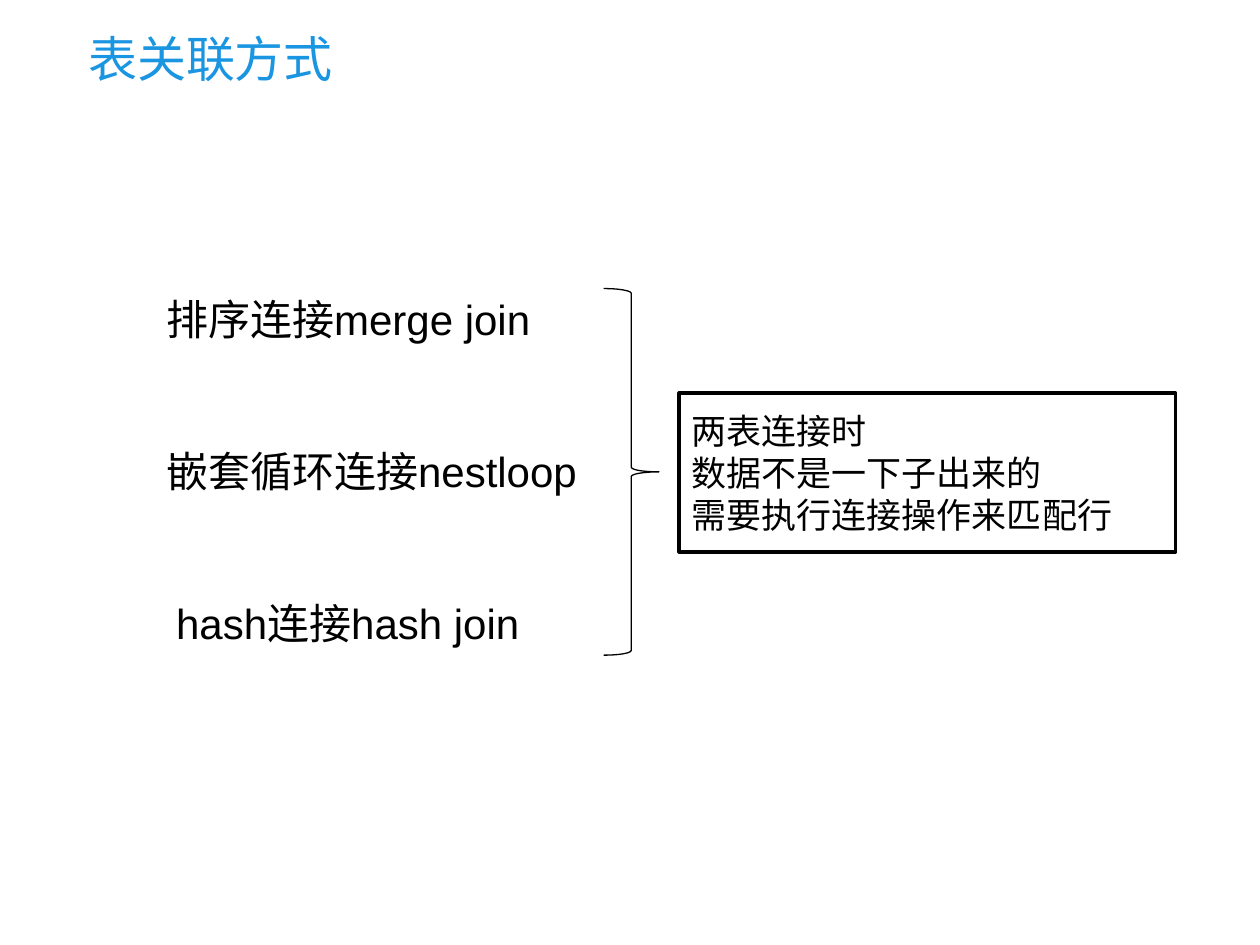
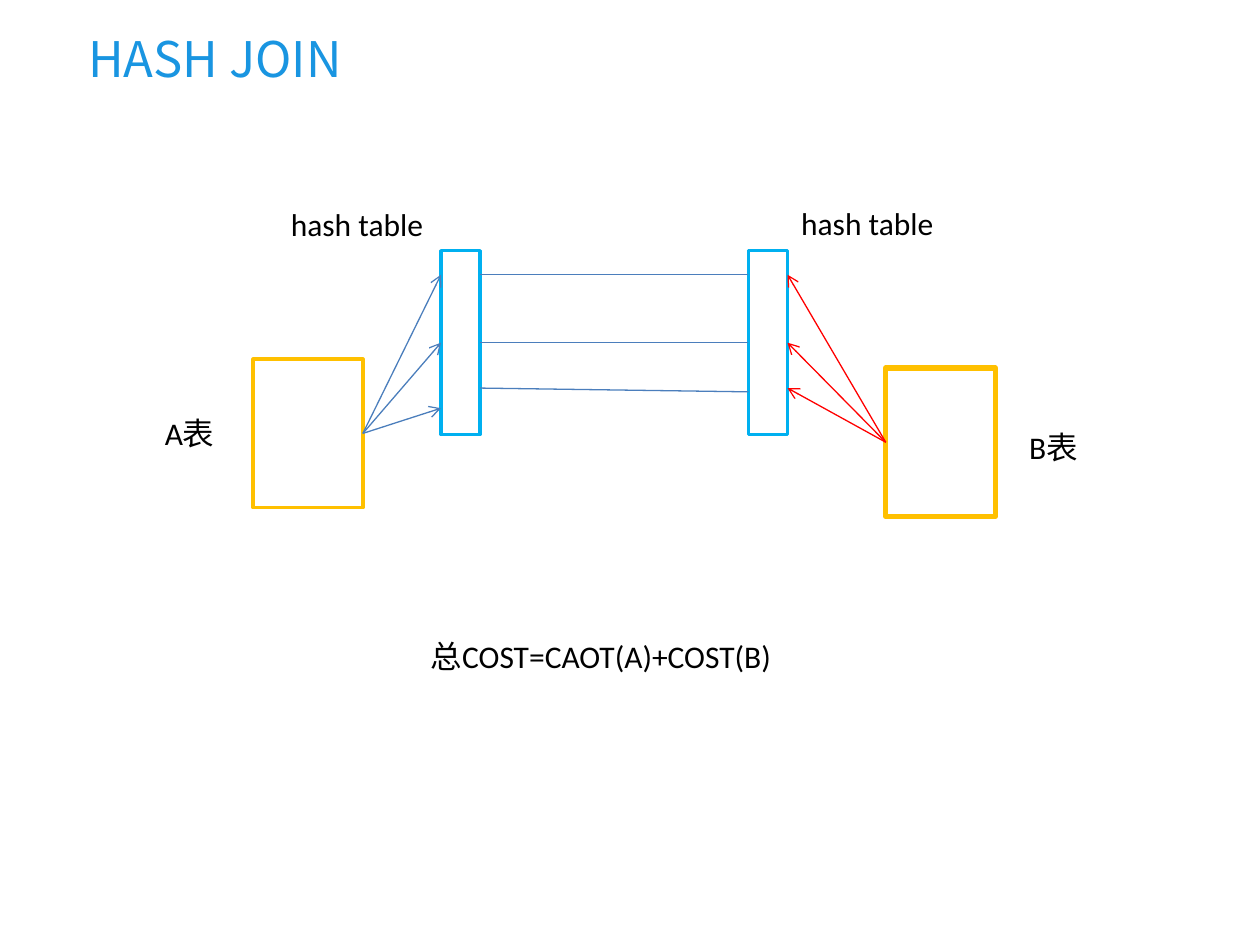
from dataclasses import dataclass

from lxml import etree
from pptx import Presentation
from pptx import util as u
from pptx.dml.color import RGBColor
from pptx.enum import shapes, text
from pptx.oxml.ns import qn

COLUMNS, ROWS = 100, 75
WIDTH, HEIGHT = u.Inches(10), u.Inches(7.5)
BLACK, WHITE, RED = "000000", "FFFFFF", "FF0000"
TITLE_BLUE, LINK_BLUE, HASH_BLUE, TABLE_GOLD = "1995E1", "4B7EBC", "00B0F0", "FFC000"
CJK_FONT = "Noto Sans CJK SC"


@dataclass
class Box:
    left: float
    top: float
    width: float
    height: float

    def inner(self, left, top, width, height):
        return Box(self.left + left, self.top + top, width, height)

    def point(self, column, row):
        return self.left + column, self.top + row

    def lengths(self):
        return (*position(self.left, self.top), *position(self.width, self.height))


def position(column, row):
    return round(WIDTH * column / COLUMNS), round(HEIGHT * row / ROWS)


def color(value):
    return RGBColor.from_string(value)


def write(shape, lines, size, font, font_color=BLACK, anchor=text.MSO_ANCHOR.TOP):
    frame = shape.text_frame
    frame.text = "\n".join(lines)
    frame.word_wrap = True
    frame.auto_size = text.MSO_AUTO_SIZE.NONE
    frame.vertical_anchor = anchor
    for paragraph in frame.paragraphs:
        paragraph.alignment = text.PP_ALIGN.LEFT
        paragraph.font.size = u.Pt(size)
        paragraph.font.name = font
        paragraph.font.color.rgb = color(font_color)
        properties = paragraph.font._element
        etree.SubElement(properties, qn("a:ea")).set("typeface", CJK_FONT)


def add_label(slide, box, label, size, font):
    write(slide.shapes.add_textbox(*box.lengths()), [label], size, font)


def add_outline(slide, kind, box, line_color, line_width, fill=None):
    shape = slide.shapes.add_shape(kind, *box.lengths())
    shape.shadow.inherit = False
    if fill:
        shape.fill.solid()
        shape.fill.fore_color.rgb = color(fill)
    else:
        shape.fill.background()
    shape.line.color.rgb = color(line_color)
    shape.line.width = u.Pt(line_width)
    return shape


def add_link(slide, start, end, line_color, arrow=False):
    link = slide.shapes.add_connector(
        shapes.MSO_CONNECTOR.STRAIGHT, *position(*start), *position(*end))
    link.line.color.rgb = color(line_color)
    link.line.width = u.Pt(0.75)
    properties = link._element.spPr
    if arrow:
        outline = properties.find(qn("a:ln"))
        etree.SubElement(outline, qn("a:tailEnd")).set("type", "arrow")
    etree.SubElement(properties, qn("a:effectLst"))


def add_titled_slide(presentation, title):
    slide = presentation.slides.add_slide(presentation.slide_layouts[5])
    shape = slide.shapes.title
    shape.left, shape.top, shape.width, shape.height = Box(6, 1.8, 41, 5.7).lengths()
    write(shape, [title], 28, CJK_FONT, TITLE_BLUE)
    return slide


def draw_join_methods(slide, box):
    methods = [("排序连接merge join", 0, 32.3), ("嵌套循环连接nestloop", 0, 35.7),
               ("hash连接hash join", 0.8, 30.6)]
    for index, (label, indent, width) in enumerate(methods):
        add_label(slide, box.inner(indent, 12.05 * index, width, 5), label, 24, "Arial")
    add_outline(slide, shapes.MSO_SHAPE.RIGHT_BRACE,
                box.inner(35.7, 0.1, 4.4, 29.1), BLACK, 0.75)


def draw_join_note(slide, box):
    note = add_outline(slide, shapes.MSO_SHAPE.RECTANGLE, box, BLACK, 2, WHITE)
    write(note, ["两表连接时", "数据不是一下子出来的", "需要执行连接操作来匹配行"],
          20, "Arial", anchor=text.MSO_ANCHOR.MIDDLE)


def draw_source_table(slide, box, line_width, label, label_left, label_top):
    add_outline(slide, shapes.MSO_SHAPE.RECTANGLE, box, TABLE_GOLD, line_width)
    add_label(slide, box.inner(label_left, label_top, 6, 4), label, 18, "Calibri")


def draw_hash_table(slide, box, label_left, label_top):
    add_outline(slide, shapes.MSO_SHAPE.RECTANGLE, box, HASH_BLUE, 2)
    add_label(slide, box.inner(label_left, label_top, 12.6, 4), "hash table", 18, "Calibri")


def draw_hash_diagram(slide, box):
    table_a = box.inner(8, 12.8, 8.7, 11.8)
    table_b = box.inner(58.2, 13.5, 8.7, 11.8)
    hash_a = box.inner(22.9, 4.2, 3.1, 14.6)
    hash_b = box.inner(47.3, 4.2, 3.1, 14.6)
    draw_source_table(slide, table_a, 2, "A表", -8, 3.9)
    draw_source_table(slide, table_b, 3, "B表", 10.4, 4.3)
    draw_hash_table(slide, hash_a, -12.9, -4.1)
    draw_hash_table(slide, hash_b, 3.2, -4.2)
    start_a = table_a.point(table_a.width, table_a.height / 2)
    start_b = table_b.point(0, table_b.height / 2)
    buckets = [(1.9, 1.9, 1.9, 1.9), (7.3, 7.3, 7.3, 7.3), (12.5, 10.9, 10.9, 11.2)]
    for row_a, row_b, match_a, match_b in buckets:
        add_link(slide, start_a, hash_a.point(0, row_a), LINK_BLUE, arrow=True)
        add_link(slide, start_b, hash_b.point(hash_b.width, row_b), RED, arrow=True)
        add_link(slide, hash_a.point(hash_a.width, match_a),
                 hash_b.point(0, match_b), LINK_BLUE)


def main():
    presentation = Presentation()
    presentation.slide_width, presentation.slide_height = WIDTH, HEIGHT

    methods_slide = add_titled_slide(presentation, "表关联方式")
    draw_join_methods(methods_slide, Box(12.2, 22.8, 40.1, 29.2))
    draw_join_note(methods_slide, Box(53.9, 31.2, 39.4, 12.6))

    hash_slide = add_titled_slide(presentation, "HASH JOIN")
    draw_hash_diagram(hash_slide, Box(12.1, 15.7, 74.5, 25.3))
    add_label(hash_slide, Box(33.2, 50.1, 29.3, 4), "总COST=CAOT(A)+COST(B)", 18, "Calibri")

    presentation.save("out.pptx")


if __name__ == "__main__":
    main()
